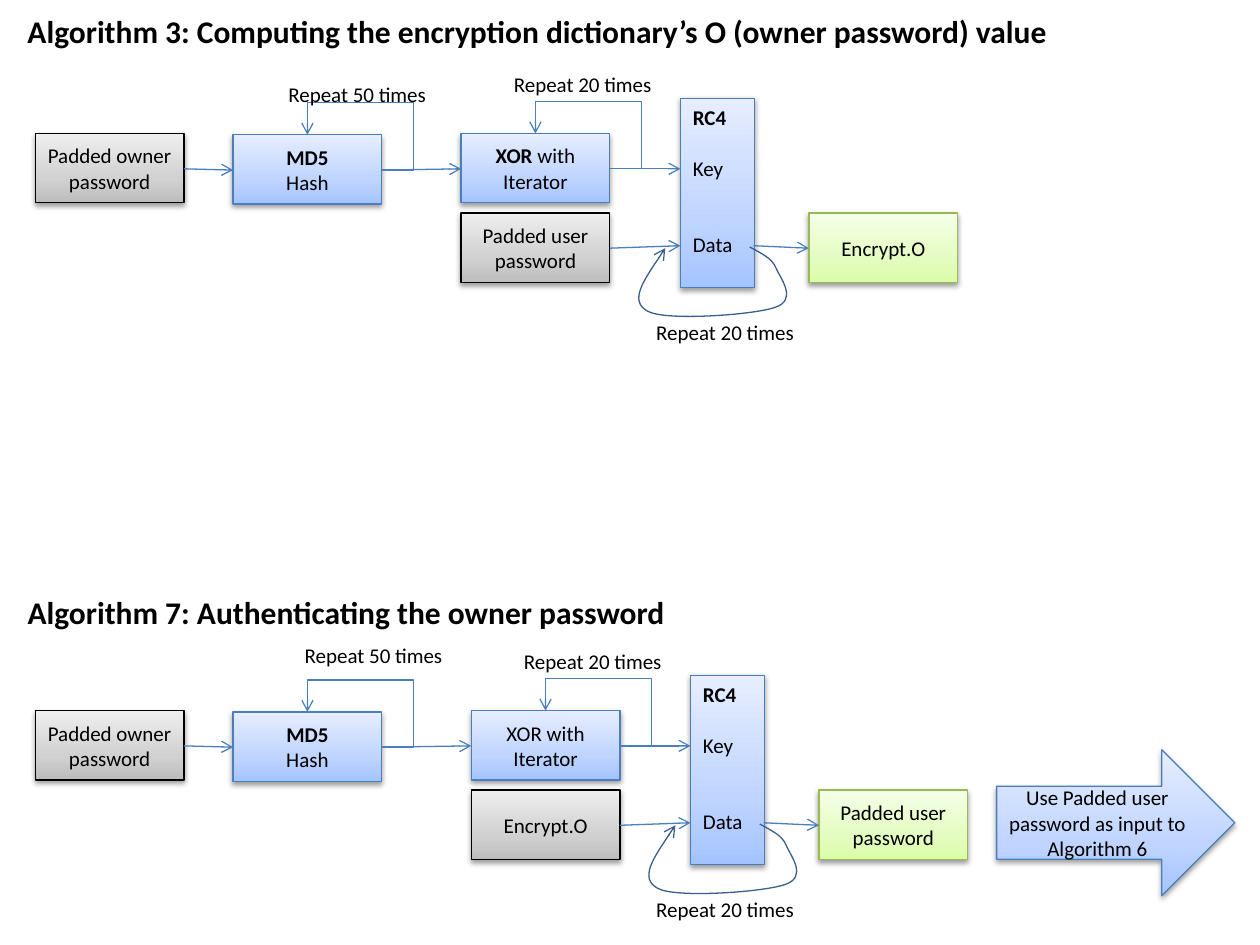
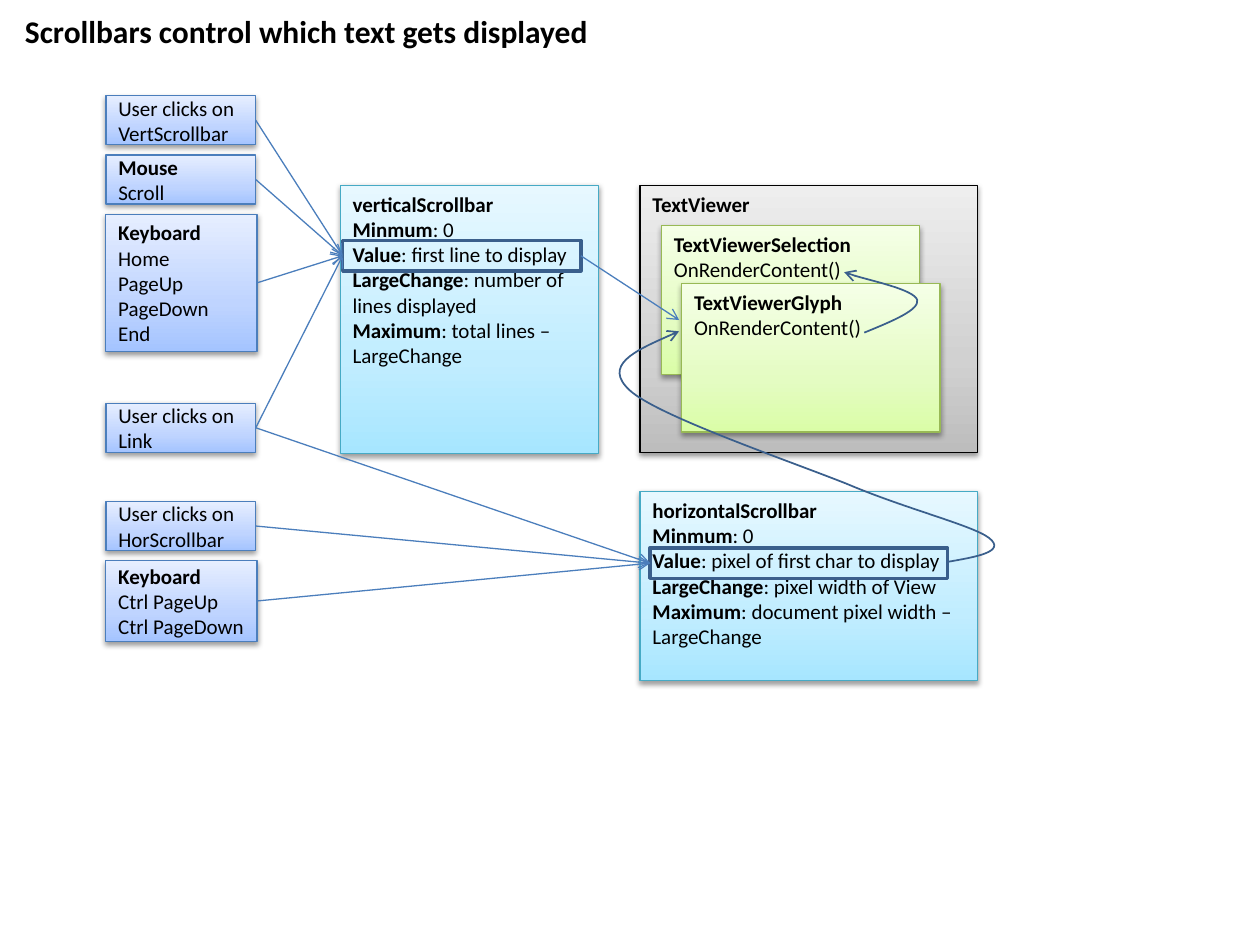
"""Build two diagram slides: password algorithms and scrollbar text flow."""
from dataclasses import dataclass
from typing import NamedTuple

from lxml.etree import SubElement
from pptx import Presentation
from pptx.dml.color import RGBColor
from pptx.enum.shapes import MSO_CONNECTOR, MSO_SHAPE
from pptx.enum.text import MSO_ANCHOR, MSO_AUTO_SIZE, PP_ALIGN
from pptx.oxml.ns import qn
from pptx.util import Cm, Pt

COLOURS = {"text": "000000", "arrow": "4B7EBC", "curve": "3A5F8C"}
GRADIENTS = {
    "grey": ("BDBDBD", "D1D1D1", "EEEEEE"),
    "blue": ("A4C4FF", "BFD4FF", "E6EEFF"),
    "green": ("DAFDA7", "E4FCC2", "F5FFE7"),
    "cyan": ("A7E6FF", "C1EDFF", "E7F8FF"),
}
OUTLINES = {"grey": "000000", "blue": "4B7EBC", "green": "98B955", "cyan": "46AAC5"}
GRADIENT_POSITIONS = (0, 35000, 100000)
BODY_FONT = {"name": "Calibri", "size": Pt(12)}
TITLE_FONT = {"name": "Calibri", "size": Pt(18)}
STEP_WIDTH, STEP_HEIGHT = 1.18, 0.55
LOOP_WIDTH, LOOP_HEIGHT = 0.59, 0.28
TRIGGER_LEFT = 0.84


class Point(NamedTuple):
    """A place on the slide, in inches."""
    x: float
    y: float


@dataclass
class Box:
    """A gradient box; text between asterisks is bold, each line a paragraph."""
    left: float
    top: float
    width: float
    height: float
    palette: str
    text: str
    centred: bool = False
    middle: bool = False
    kind: MSO_SHAPE = MSO_SHAPE.RECTANGLE


@dataclass
class Algorithm:
    """One password diagram and what sets it apart."""
    title: str
    title_top: float
    title_width: float
    top: float
    shift: float
    mixer: str
    data: str
    result: str
    hash_label: Point


@dataclass
class Trigger:
    """A user action and the scrollbar values it changes."""
    top: float
    width: float
    height: float
    text: str
    targets: list


VERTICAL_VALUE = Point(2.72, 2.03)
HORIZONTAL_VALUE = Point(5.16, 4.47)
ALGORITHMS = [
    Algorithm("Algorithm 7: Authenticating the owner password",
              4.66, 6.52, 4.58, 0.08, "XOR with\nIterator", "Encrypt.O",
              "Padded user password", Point(2.32, 5.05)),
    Algorithm("Algorithm 3: Computing the encryption dictionary’s O (owner password) value",
              0.05, 8.43, 0, 0, "*XOR *with\nIterator", "Padded user password",
              "Encrypt.O", Point(2.19, 0.6)),
]
TRIGGERS = [
    Trigger(0.76, 1.19, 0.39, "User clicks on VertScrollbar", [VERTICAL_VALUE]),
    Trigger(1.23, 1.19, 0.39, "*Mouse *\nScroll", [VERTICAL_VALUE]),
    Trigger(1.7, 1.2, 1.09, "*Keyboard*\nHome\nPageUp\nPageDown\nEnd", [VERTICAL_VALUE]),
    Trigger(3.2, 1.19, 0.39, "User clicks on Link", [VERTICAL_VALUE, HORIZONTAL_VALUE]),
    Trigger(3.98, 1.19, 0.39, "User clicks on HorScrollbar", [HORIZONTAL_VALUE]),
    Trigger(4.45, 1.2, 0.64, "*Keyboard*\nCtrl PageUp\nCtrl PageDown", [HORIZONTAL_VALUE]),
]
PANELS = [
    Box(2.7, 1.47, 2.05, 2.13, "cyan",
        "*verticalScrollbar*\n*Minmum*: 0\n*Value*: first line to display\n"
        "*LargeChange*: number of lines displayed\n*Maximum*: total lines – \nLargeChange"),
    Box(5.08, 1.47, 2.68, 2.12, "grey", "*TextViewer*"),
    Box(5.25, 1.79, 2.05, 1.18, "green", "*TextViewerSelection*\nOnRenderContent()"),
    Box(5.41, 2.25, 2.05, 1.18, "green", "*TextViewerGlyph*\nOnRenderContent()"),
    Box(5.08, 3.9, 2.68, 1.5, "cyan",
        "*horizontalScrollbar*\n*Minmum*: 0\n*Value*: pixel of first char to display\n"
        "*LargeChange*: pixel width of View\n*Maximum*: document pixel width – \nLargeChange"),
]
VALUE_FRAMES = [(2.72, 1.91, 1.89, 0.24), (5.16, 4.35, 2.36, 0.24)]
CIPHER_OUTLINE = [(5.4, 0.78), (5.99, 0.78), (5.99, 1.95), (5.99, 2.28), (5.4, 2.28),
                  (5.4, 1.34)]
CIPHER_LOOP = [(5.95, 1.96), (6.04, 2.01), (6.13, 2.05), (6.16, 2.13), (6.2, 2.22),
               (6.33, 2.38), (6.15, 2.44), (5.98, 2.5), (5.28, 2.55), (5.14, 2.47),
               (4.99, 2.39), (5.14, 2.18), (5.28, 1.97)]
RENDER_CURVE = [(6.86, 2.64), (7.08, 2.55), (7.3, 2.46), (7.28, 2.38), (7.25, 2.3),
                (6.79, 2.2), (6.7, 2.16)]
PIXEL_CURVE = [(7.52, 4.46), (7.75, 4.42), (7.99, 4.38), (7.85, 4.27), (7.72, 4.17),
               (7.19, 4.04), (6.72, 3.84), (6.24, 3.65), (5.22, 3.3), (5, 3.1),
               (4.78, 2.9), (5.09, 2.76), (5.39, 2.63)]


def lengths(*inches: float) -> list:
    """Turn inch values into lengths."""
    return [Cm(value * 2.54) for value in inches]


def apply_format(target, values: dict) -> None:
    """Set each named attribute of the target."""
    for name, value in values.items():
        setattr(target, name, value)


def moved(points: list, shift: float, down: float) -> list:
    """Move points right and down."""
    return [Point(x + shift, y + down) for x, y in points]


def write_text(frame, text: str, font: dict, centred: bool = False) -> None:
    """Write marked text into a frame, one paragraph a line."""
    for index, line in enumerate(text.split("\n")):
        paragraph = frame.add_paragraph() if index else frame.paragraphs[0]
        paragraph.alignment = PP_ALIGN.CENTER if centred else PP_ALIGN.LEFT
        for position, piece in enumerate(line.split("*")):
            if piece:
                run = paragraph.add_run()
                run.text = piece
                apply_format(run.font, {**font, "bold": position % 2 == 1})
                run.font.color.rgb = RGBColor.from_string(COLOURS["text"])


def set_line(shape, colour: str, width: float, arrow: bool = False) -> None:
    """Set line colour and width, with an open arrowhead at the end if asked."""
    shape.line.color.rgb = RGBColor.from_string(colour)
    shape.line.width = Pt(width)
    if arrow:
        SubElement(shape.line._get_or_add_ln(), qn("a:tailEnd"), type="arrow")


def paint(shape, palette: str) -> None:
    """Give a shape its gradient, outline and soft shadow."""
    shape.fill.gradient()
    shape.fill.gradient_angle = 90
    properties = shape._element.spPr
    stops = properties.find(".//" + qn("a:gsLst"))
    for stop in list(stops):
        stops.remove(stop)
    for position, colour in zip(GRADIENT_POSITIONS, GRADIENTS[palette]):
        stop = SubElement(stops, qn("a:gs"), pos=str(position))
        SubElement(stop, qn("a:srgbClr"), val=colour)
    set_line(shape, OUTLINES[palette], 0.75)
    shape.shadow.inherit = False
    shadow = SubElement(properties.find(qn("a:effectLst")), qn("a:outerShdw"),
                        blurRad="40000", dist="20000", dir="5400000", rotWithShape="0")
    colour = SubElement(shadow, qn("a:srgbClr"), val=COLOURS["text"])
    SubElement(colour, qn("a:alpha"), val="38000")


def draw_box(slide, box: Box) -> None:
    """Draw a gradient box with its text."""
    place = lengths(box.left, box.top, box.width, box.height)
    shape = slide.shapes.add_shape(box.kind, *place)
    paint(shape, box.palette)
    anchor = MSO_ANCHOR.MIDDLE if box.middle else MSO_ANCHOR.TOP
    apply_format(shape.text_frame, {"word_wrap": True, "vertical_anchor": anchor})
    write_text(shape.text_frame, box.text, BODY_FONT, box.centred)


def draw_step(slide, left: float, top: float, palette: str, text: str) -> None:
    """Draw one box of an algorithm."""
    draw_box(slide, Box(left, top, STEP_WIDTH, STEP_HEIGHT, palette, text, True, True))


def draw_text(slide, place: Point, text: str, width: float = 1.31, height: float = 0.3,
              font: dict = BODY_FONT, wrap: bool = False) -> None:
    """Draw a free text, by default a small caption."""
    shape = slide.shapes.add_textbox(*lengths(*place, width, height))
    apply_format(shape.text_frame, {
        "word_wrap": wrap, "auto_size": MSO_AUTO_SIZE.SHAPE_TO_FIT_TEXT})
    write_text(shape.text_frame, text, font)


def draw_title(slide, place: Point, width: float, text: str, wrap: bool) -> None:
    """Draw a bold heading."""
    draw_text(slide, place, f"*{text}*", width, 0.4, TITLE_FONT, wrap)


def draw_arrow(slide, start: Point, end: Point, kind=MSO_CONNECTOR.STRAIGHT):
    """Draw an arrow between two points."""
    connector = slide.shapes.add_connector(kind, *lengths(*start, *end))
    set_line(connector, COLOURS["arrow"], 0.75, True)
    SubElement(connector._element.spPr, qn("a:effectLst"))
    return connector


def draw_step_loop(slide, start: Point) -> None:
    """Draw the bent arrow from a step's right side back to its top."""
    end = Point(start.x - LOOP_WIDTH, start.y - LOOP_HEIGHT)
    connector = draw_arrow(slide, start, end, MSO_CONNECTOR.ELBOW)
    geometry = connector._element.spPr.find(qn("a:prstGeom"))
    geometry.set("prst", "bentConnector4")
    guides = geometry.find(qn("a:avLst"))
    for name, value in (("adj1", -42300), ("adj2", 190700)):
        SubElement(guides, qn("a:gd"), name=name, fmla=f"val {value}")


def draw_outline(slide, points: list, close: bool):
    """Draw a freeform through the points."""
    first, *rest = [lengths(*point) for point in points]
    builder = slide.shapes.build_freeform(*first, scale=1.0)
    builder.add_line_segments(rest, close=close)
    return builder.convert_to_shape()


def point_on_curve(section: list, part: float) -> Point:
    """Find the point at a part of one cubic curve."""
    rest = 1 - part
    weights = (rest ** 3, 3 * rest ** 2 * part, 3 * rest * part ** 2, part ** 3)
    return Point(*(sum(weight * value for weight, value in zip(weights, values))
                   for values in zip(*section)))


def draw_curve(slide, controls: list, width: float) -> None:
    """Draw a curved arrow whose frame fits its joined cubic curves."""
    starts = range(0, len(controls) - 1, 3)
    shape = draw_outline(slide, [point_on_curve(controls[start:start + 4], step / 16)
                                 for start in starts for step in range(17)], False)
    outline = shape._element.spPr.find(".//" + qn("a:pathLst"))[0]
    for segment in list(outline)[1:]:
        outline.remove(segment)
    for start in starts:
        curve = SubElement(outline, qn("a:cubicBezTo"))
        for control in controls[start + 1:start + 4]:
            x, y = lengths(*control)
            SubElement(curve, qn("a:pt"), x=str(x - shape.left), y=str(y - shape.top))
    shape.fill.background()
    shape.shadow.inherit = False
    set_line(shape, COLOURS["curve"], width, True)


def draw_cipher(slide, shift: float, down: float) -> None:
    """Draw the tall cipher block with its two inputs."""
    shape = draw_outline(slide, moved(CIPHER_OUTLINE, shift, down), True)
    paint(shape, "blue")
    frame = shape.text_frame
    apply_format(frame, {"word_wrap": True, "vertical_anchor": MSO_ANCHOR.TOP})
    write_text(frame, "*RC4*\nKey\nData", BODY_FONT)
    for paragraph, gap in zip(frame.paragraphs[1:], (14.6, 29.2)):
        paragraph.space_before = Pt(gap)


def draw_algorithm(slide, algorithm: Algorithm) -> None:
    """Draw one password diagram."""
    top, shift = algorithm.top, algorithm.shift
    mixer_left, result_left = 3.66 + shift, 6.42 + shift
    mixer_right = mixer_left + STEP_WIDTH
    key_y, data_y = top + 1.34, top + 1.95
    hash_exit, mixer_exit = Point(3.03, key_y + 0.01), Point(mixer_right, key_y)
    draw_title(slide, Point(0.12, algorithm.title_top), algorithm.title_width,
               algorithm.title, True)
    draw_step(slide, 0.28, top + 1.06, "grey", "Padded owner password")
    draw_step(slide, 1.85, top + 1.07, "blue", "*MD5*\nHash")
    draw_step(slide, mixer_left, top + 1.06, "blue", algorithm.mixer)
    draw_step(slide, mixer_left, top + 1.69, "grey", algorithm.data)
    draw_step(slide, result_left, top + 1.69, "green", algorithm.result)
    draw_cipher(slide, shift, top)
    for start, end in (
            (Point(1.46, key_y), Point(1.85, key_y + 0.01)),
            (hash_exit, Point(mixer_left, key_y)),
            (mixer_exit, Point(5.4 + shift, key_y)),
            (Point(mixer_right, data_y + 0.02), Point(5.4 + shift, data_y)),
            (Point(5.98 + shift, data_y), Point(result_left, data_y + 0.02))):
        draw_arrow(slide, start, end)
    draw_step_loop(slide, hash_exit)
    draw_step_loop(slide, mixer_exit)
    draw_curve(slide, moved(CIPHER_LOOP, shift, top), 0.75)
    draw_text(slide, algorithm.hash_label, "Repeat 50 times")
    for place in (Point(3.98 + shift, top + 0.52), Point(5.11, top + 2.49)):
        draw_text(slide, place, "Repeat 20 times")


def draw_scrollbars(slide) -> None:
    """Draw the flow from user actions to the displayed text."""
    draw_title(slide, Point(0.1, 0.05), 4.7,
               "Scrollbars control which text gets displayed", False)
    for panel in PANELS:
        draw_box(slide, panel)
    for frame in VALUE_FRAMES:
        shape = slide.shapes.add_shape(MSO_SHAPE.RECTANGLE, *lengths(*frame))
        shape.fill.background()
        shape.shadow.inherit = False
        set_line(shape, COLOURS["curve"], 2)
    for trigger in TRIGGERS:
        draw_box(slide, Box(TRIGGER_LEFT, trigger.top, trigger.width, trigger.height,
                            "blue", trigger.text, middle=True))
        start = Point(TRIGGER_LEFT + trigger.width, trigger.top + trigger.height / 2)
        for target in trigger.targets:
            draw_arrow(slide, start, target)
    draw_arrow(slide, Point(4.61, 2.03), Point(5.39, 2.54))
    for curve in (RENDER_CURVE, PIXEL_CURVE):
        draw_curve(slide, curve, 1)


presentation = Presentation()
presentation.slide_width, presentation.slide_height = lengths(10, 7.5)
algorithm_slide, scrollbar_slide = [
    presentation.slides.add_slide(presentation.slide_layouts[6]) for _ in range(2)]
for each_algorithm in ALGORITHMS:
    draw_algorithm(algorithm_slide, each_algorithm)
draw_box(algorithm_slide, Box(7.91, 5.95, 1.89, 1.16, "blue",
                              "Use Padded user password as input to Algorithm 6",
                              True, True, MSO_SHAPE.RIGHT_ARROW))
draw_scrollbars(scrollbar_slide)
presentation.save("out.pptx")
